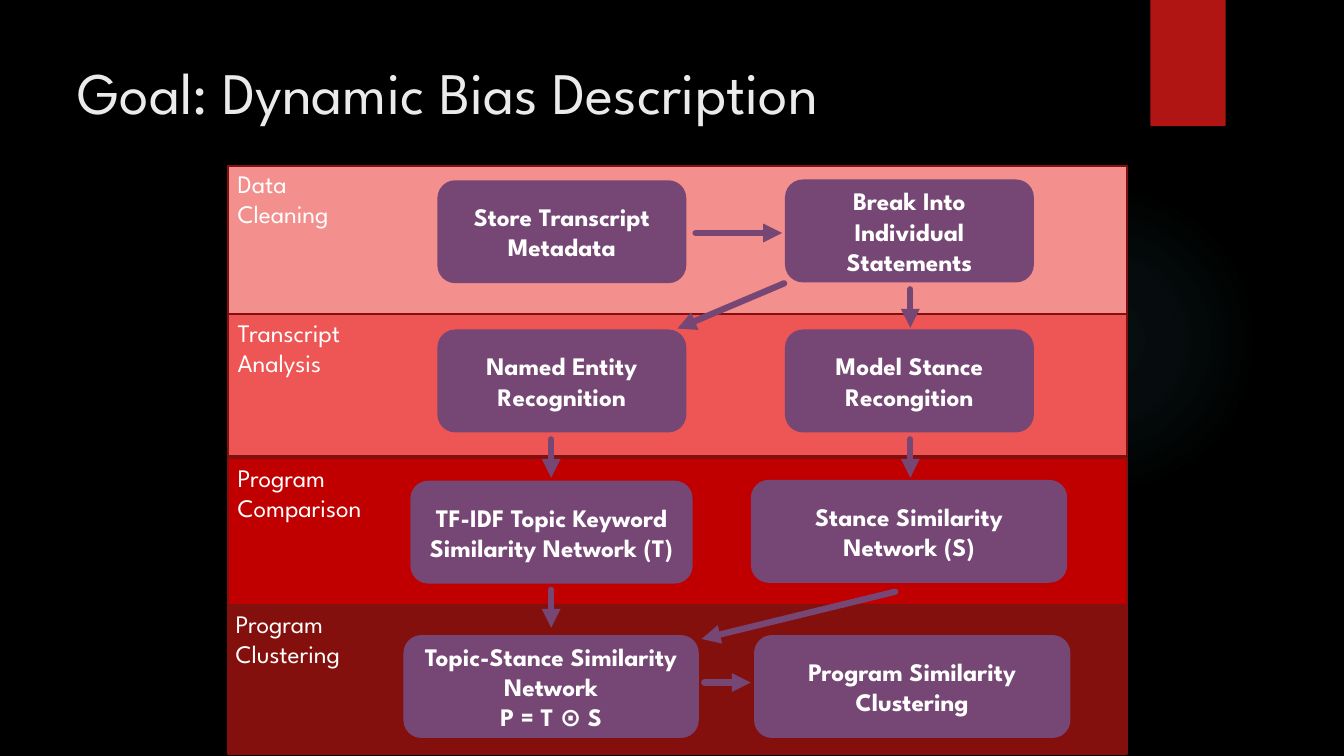
"""Build the slide on the steps of dynamic bias description."""
import dataclasses

import pptx
import pptx.dml.color
import pptx.enum.shapes
import pptx.enum.text
import pptx.oxml
import pptx.oxml.ns
import pptx.util

Cm = pptx.util.Cm
Pt = pptx.util.Pt
Kind = pptx.enum.shapes.MSO_SHAPE
Align = pptx.enum.text.PP_ALIGN
Anchor = pptx.enum.text.MSO_ANCHOR


@dataclasses.dataclass(frozen=True)
class Theme:
    """Hold the colours, font and sizes of the slide."""
    font: str = "League Spartan"
    back: str = "000000"
    title: str = "EBEBEB"
    text: str = "FFFFFF"
    tab: str = "B01513"
    glow: str = "50B9C1"
    step: str = "764674"
    edge: str = "82100E"
    big: float = 42
    body: float = 18
    rule: float = 1.5
    arrow: float = 4.5


THEME = Theme()
BAND_LEFT, BAND_WIDE, BAND_HIGH = 5.74, 22.66, 3.73
STEP_HIGH = 2.54

# label, label left, label top, label width, band top, band colour
BANDS = [
    ("Transcript Analysis", 5.74, 7.87, 3.81, 7.77, "ED5654"),
    ("Program Comparison", 5.74, 11.53, 4.45, 11.53, "C00000"),
    ("Program Clustering", 5.69, 15.21, 4.34, 15.27, "84100E"),
    ("Data Cleaning", 5.74, 4.11, 3.81, 4.19, "F38F8D"),
]

# text, middle, top, width
STEPS = [
    ("Store Transcript Metadata", 14.16, 4.57, 6.22),
    ("Break Into Individual Statements", 22.92, 4.55, 6.22),
    ("Named Entity Recognition", 14.16, 8.33, 6.22),
    ("Model Stance Recongition", 22.92, 8.33, 6.22),
    ("TF-IDF Topic Keyword Similarity Network (T)", 13.9, 12.14, 7.06),
    ("Stance Similarity Network (S)", 22.91, 12.12, 7.92),
    ("Topic-Stance Similarity Network\nP = T \u2299 S", 13.89, 16.03, 7.39),
    ("Program Similarity Clustering", 22.99, 16.03, 7.92),
]

# start x, start y, end x, end y
ARROWS = [
    (17.53, 5.87, 19.71, 5.87),
    (22.94, 7.29, 22.94, 8.26),
    (19.76, 7.14, 17.07, 8.28),
    (13.89, 11.07, 13.89, 12.04),
    (22.94, 11.07, 22.94, 12.04),
    (13.89, 14.86, 13.89, 15.82),
    (22.56, 14.91, 17.68, 16.1),
    (17.75, 17.2, 18.92, 17.2),
]


def tint(code):
    """Turn a hex code into a colour."""
    return pptx.dml.color.RGBColor.from_string(code)


def style(frame, size, code, bold=False, align=Align.LEFT):
    """Format all the text in a frame."""
    frame.word_wrap = True
    for para in frame.paragraphs:
        para.alignment = align
        for run in para.runs:
            run.font.name = THEME.font
            run.font.size = Pt(size)
            run.font.bold = bold
            run.font.color.rgb = tint(code)


def add_block(slide, kind, place, fill, edge=None):
    """Add a filled shape, with an outline if an edge colour is given."""
    block = slide.shapes.add_shape(kind, *map(Cm, place))
    block.shadow.inherit = False
    block.fill.solid()
    block.fill.fore_color.rgb = tint(fill)
    if edge:
        block.line.color.rgb = tint(edge)
        block.line.width = Pt(THEME.rule)
    else:
        block.line.fill.background()
    return block


def add_glow(slide):
    """Add the faint round glow."""
    glow = add_block(slide, Kind.OVAL, (23.9, 4.65, 7.82, 7.82), THEME.glow)
    stops = "".join(
        f'<a:gs pos="{spot * 1000}"><a:srgbClr val="{THEME.glow}">'
        f'<a:alpha val="{alpha * 1000}"/></a:srgbClr></a:gs>'
        for spot, alpha in ((0, 7), (36, 6), (69, 0), (100, 0)))
    fade = pptx.oxml.parse_xml(
        f'<a:gradFill {pptx.oxml.ns.nsdecls("a")}><a:gsLst>{stops}</a:gsLst>'
        '<a:path path="circle"><a:fillToRect l="50000" t="50000" '
        'r="50000" b="50000"/></a:path></a:gradFill>')
    solid = glow.element.spPr.find(pptx.oxml.ns.qn("a:solidFill"))
    glow.element.spPr.replace(solid, fade)


def add_title(slide, text):
    """Place and format the title."""
    title = slide.shapes.title
    title.left, title.top = Cm(1.7), Cm(1.27)
    title.width, title.height = Cm(26.14), Cm(3.89)
    title.text_frame.text = text
    title.text_frame.vertical_anchor = Anchor.TOP
    style(title.text_frame, THEME.big, THEME.title)


def add_band(slide, top, fill):
    """Add the band of one phase."""
    place = (BAND_LEFT, top, BAND_WIDE, BAND_HIGH)
    add_block(slide, Kind.RECTANGLE, place, fill, THEME.edge)


def add_label(slide, text, left, top, width):
    """Add the name of one phase."""
    label = slide.shapes.add_textbox(*map(Cm, (left, top, width, 1.8)))
    label.text_frame.text = text
    style(label.text_frame, THEME.body, THEME.text)


def add_step(slide, text, middle, top, width):
    """Add a rounded step box around its middle."""
    place = (middle - width / 2, top, width, STEP_HIGH)
    step = add_block(slide, Kind.ROUNDED_RECTANGLE, place,
                     THEME.step, THEME.step)
    step.text_frame.text = text
    step.text_frame.vertical_anchor = Anchor.MIDDLE
    style(step.text_frame, THEME.body, THEME.text, True, Align.CENTER)


def add_arrow(slide, *ends):
    """Add a thick arrow with round ends."""
    kind = pptx.enum.shapes.MSO_CONNECTOR.STRAIGHT
    arrow = slide.shapes.add_connector(kind, *map(Cm, ends))
    arrow.line.color.rgb = tint(THEME.step)
    arrow.line.width = Pt(THEME.arrow)
    props = arrow.element.spPr
    line = props.find(pptx.oxml.ns.qn("a:ln"))
    line.set("cap", "rnd")
    space = pptx.oxml.ns.nsdecls("a")
    line.append(pptx.oxml.parse_xml(f'<a:tailEnd {space} type="triangle"/>'))
    props.append(pptx.oxml.parse_xml(f"<a:effectLst {space}/>"))


def main():
    """Build and save the slide."""
    deck = pptx.Presentation()
    deck.slide_width, deck.slide_height = Cm(33.87), Cm(19.05)
    slide = deck.slides.add_slide(deck.slide_layouts[5])
    slide.background.fill.solid()
    slide.background.fill.fore_color.rgb = tint(THEME.back)
    add_glow(slide)
    add_block(slide, Kind.RECTANGLE, (28.99, 0, 1.9, 3.18), THEME.tab)
    add_title(slide, "Goal: Dynamic Bias Description")
    for *_, top, fill in BANDS:
        add_band(slide, top, fill)
    for text, left, top, width, *_ in BANDS:
        add_label(slide, text, left, top, width)
    for step in STEPS:
        add_step(slide, *step)
    for ends in ARROWS:
        add_arrow(slide, *ends)
    deck.save("out.pptx")


main()
